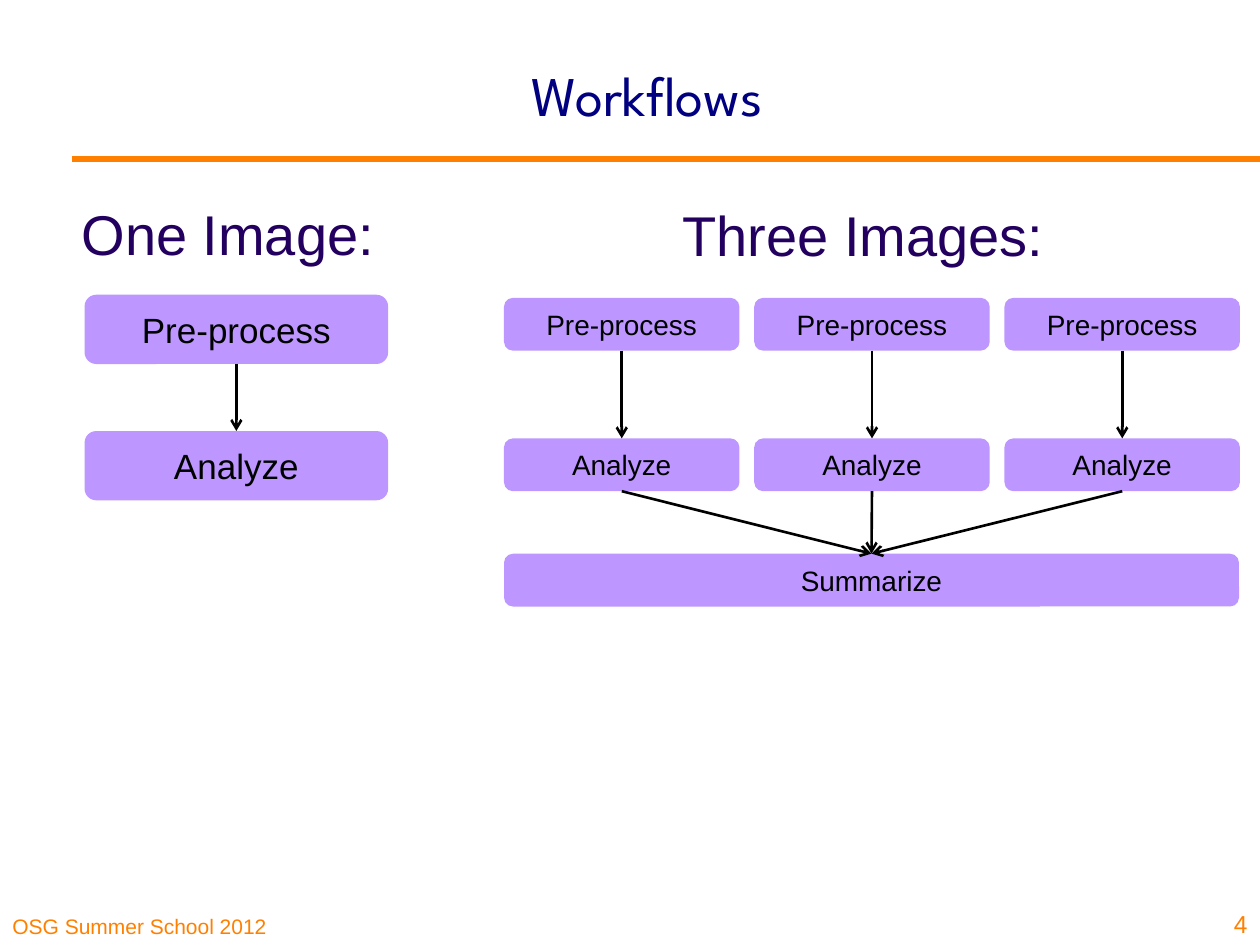
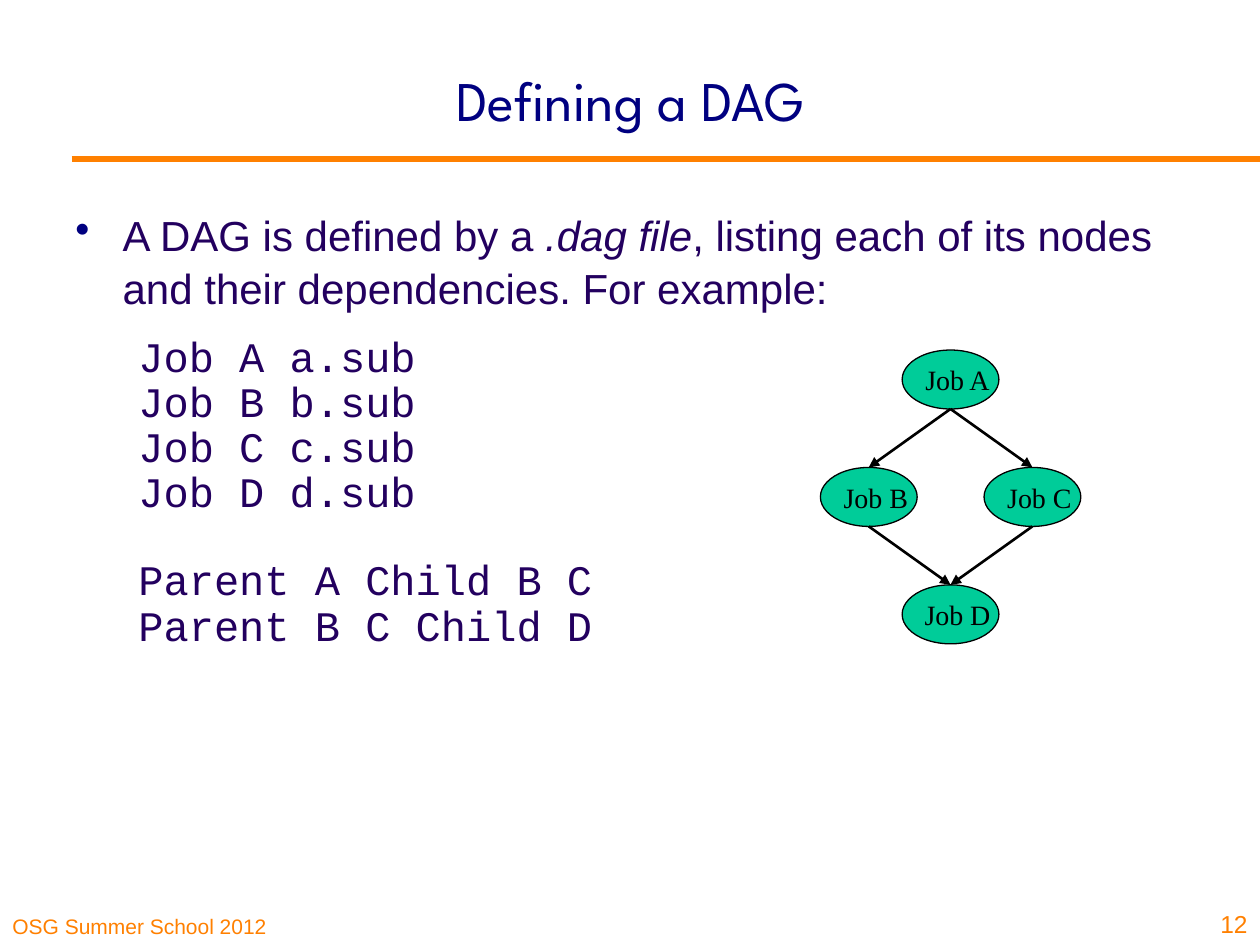
"""Build two slides about workflows and DAG definitions."""
from lxml import etree
from pptx import Presentation
from pptx.dml.color import RGBColor
from pptx.enum.shapes import MSO_CONNECTOR, MSO_SHAPE
from pptx.enum.text import MSO_ANCHOR, PP_ALIGN
from pptx.oxml.ns import qn
from pptx.util import Pt

LEFT, CENTER, RIGHT = PP_ALIGN.LEFT, PP_ALIGN.CENTER, PP_ALIGN.RIGHT
MIDDLE, BOTTOM = MSO_ANCHOR.MIDDLE, MSO_ANCHOR.BOTTOM
ROUNDED, OVAL = MSO_SHAPE.ROUNDED_RECTANGLE, MSO_SHAPE.OVAL
STRAIGHT = MSO_CONNECTOR.STRAIGHT

ORANGE, NAVY, INDIGO = "FF8000", "000080", "23005F"
LILAC, GREEN, BLACK = "BD97FF", "00CC99", "000000"
color = RGBColor.from_string


def write_text(shape, text, size, hex_color, align=LEFT, anchor=MIDDLE, font="Arial"):
    frame = shape.text_frame
    frame.word_wrap = True
    frame.vertical_anchor = anchor
    paragraph = frame.paragraphs[0]
    paragraph.text = text
    paragraph.alignment = align
    paragraph.font.size = Pt(size)
    paragraph.font.name = font
    paragraph.font.color.rgb = color(hex_color)


def add_line(slide, start, end, hex_color, width, head=None):
    line = slide.shapes.add_connector(STRAIGHT, *start, *end)
    line.line.color.rgb = color(hex_color)
    line.line.width = Pt(width)
    if head:
        etree.SubElement(line.line._get_or_add_ln(), qn("a:tailEnd"), type=head)
    etree.SubElement(line._element.spPr, qn("a:effectLst"))


presentation = Presentation()
presentation.slide_width = Pt(720)
presentation.slide_height = Pt(540)

for title, number, title_area in [
    ("Workflows", "4", (96.5, 8.6, 547, 90)),
    ("Defining a DAG", "12", (36, 36.7, 648.7, 39.6)),
]:
    slide = presentation.slides.add_slide(presentation.slide_layouts[6])
    add_line(slide, (Pt(41), Pt(90.8)), (Pt(720), Pt(90.8)), ORANGE, 3)
    for text, area, size, hex_color, align, anchor, font in [
        (title, title_area, 32, NAVY, CENTER, MIDDLE, "League Spartan"),
        ("OSG Summer School 2012", (0, 510, 178.5, 30), 12, ORANGE, LEFT, BOTTOM, "Arial"),
        (number, (687, 504, 33, 36), 14, ORANGE, RIGHT, BOTTOM, "Arial"),
    ]:
        box = slide.shapes.add_textbox(*map(Pt, area))
        write_text(box, text, size, hex_color, align, anchor, font)

workflows, dag_definition = presentation.slides

for heading, area in [
    ("One Image:", (39.5, 108, 194.5, 50)),
    ("Three Images:", (383, 108.5, 268, 50)),
]:
    box = workflows.shapes.add_textbox(*map(Pt, area))
    write_text(box, heading, 32, INDIGO)

steps = [
    ("Pre-process", 48.3, 168.4, 173.5, 39.6, 20),
    ("Analyze", 48.3, 246.3, 173.5, 39.6, 20),
]
for column in range(3):
    left = 288 + 143 * column
    steps.append(("Pre-process", left, 170.2, 134.6, 30.2, 16))
    steps.append(("Analyze", left, 250.5, 134.6, 30.2, 16))
steps.append(("Summarize", 288, 316.4, 420, 30.2, 16))

step_shapes = []
for name, left, top, width, height, size in steps:
    shape = workflows.shapes.add_shape(ROUNDED, Pt(left), Pt(top), Pt(width), Pt(height))
    shape.adjustments[0] = 0.17
    shape.shadow.inherit = False
    shape.fill.solid()
    shape.fill.fore_color.rgb = color(LILAC)
    shape.line.fill.background()
    write_text(shape, name, size, BLACK, CENTER)
    step_shapes.append(shape)

body = dag_definition.shapes.add_textbox(Pt(36), Pt(113.8), Pt(648.7), Pt(329))
frame = body.text_frame
frame.word_wrap = True
frame.margin_top = Pt(4.5)
paragraph = frame.paragraphs[0]
properties = paragraph._p.get_or_add_pPr()
properties.set("marL", str(Pt(27)))
properties.set("indent", str(-Pt(27)))
bullet_color = etree.SubElement(properties, qn("a:buClr"))
etree.SubElement(bullet_color, qn("a:srgbClr"), val=NAVY)
etree.SubElement(properties, qn("a:buChar"), char="•")
paragraph.line_spacing = 1.05
paragraph.font.size = Pt(24)
paragraph.font.name = "Arial"
paragraph.font.color.rgb = color(INDIGO)
for text, italic in [
    ("A DAG is defined by a ", False),
    (".dag file", True),
    (", listing each of its nodes and their dependencies. For example:", False),
]:
    run = paragraph.add_run()
    run.text = text
    run.font.italic = italic

for code, space_before in [
    ("Job A a.sub", 17),
    ("Job B b.sub", 4.5),
    ("Job C c.sub", 4.5),
    ("Job D d.sub", 4.5),
    ("Parent A Child B C", 29),
    ("Parent B C Child D", 4.5),
]:
    paragraph = frame.add_paragraph()
    paragraph._p.get_or_add_pPr().set("marL", str(Pt(36)))
    paragraph.text = code
    paragraph.line_spacing = 0.74
    paragraph.space_before = Pt(space_before)
    paragraph.font.size = Pt(24)
    paragraph.font.name = "Courier New"
    paragraph.font.color.rgb = color(INDIGO)

jobs = {}
for job, left, top in [
    ("A", 515.5, 200), ("B", 468.8, 267.1), ("C", 562.3, 267.1), ("D", 515.5, 334.2),
]:
    shape = dag_definition.shapes.add_shape(OVAL, Pt(left), Pt(top), Pt(55.3), Pt(33.7))
    shape.shadow.inherit = False
    shape.fill.solid()
    shape.fill.fore_color.rgb = color(GREEN)
    shape.line.color.rgb = color(BLACK)
    shape.line.width = Pt(0.75)
    write_text(shape, f"Job {job}", 16, BLACK, CENTER, font="Times New Roman")
    shape.text_frame.word_wrap = False
    shape.text_frame.margin_left = Pt(8)
    shape.text_frame.margin_right = 0
    jobs[job] = shape

step_links = [(0, 1), (2, 3), (4, 5), (6, 7), (3, 8), (5, 8), (7, 8)]
for slide, nodes, links, head in [
    (workflows, step_shapes, step_links, "arrow"),
    (dag_definition, jobs, ["AB", "AC", "BD", "CD"], "triangle"),
]:
    for parent, child in links:
        upper, lower = nodes[parent], nodes[child]
        start = (upper.left + upper.width // 2, upper.top + upper.height)
        end = (lower.left + lower.width // 2, lower.top)
        add_line(slide, start, end, BLACK, 1.5, head)

presentation.save("out.pptx")
